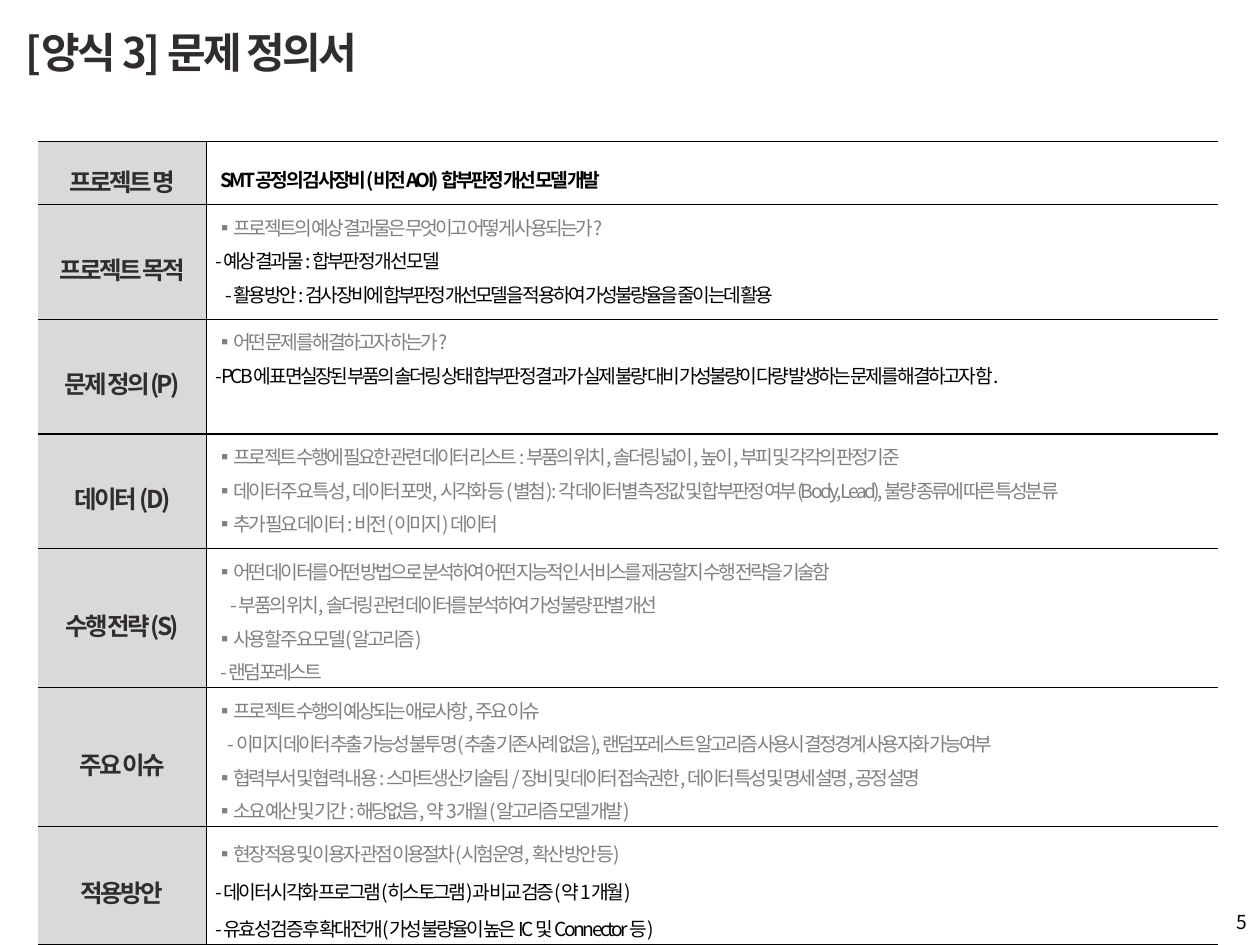
from lxml.etree import SubElement
from pptx import Presentation
from pptx.dml.color import RGBColor
from pptx.enum.text import MSO_ANCHOR as Anchor, PP_ALIGN as Align
from pptx.oxml.ns import qn
from pptx.util import Inches, Pt

FONT = "Noto Sans CJK KR"
INK, BLACK, GRAY, LABEL_FILL = "312C2E", "000000", "808080", "D9D9D9"

PROJECT = ("프로젝트 명", 1.4, [("SMT공정의 검사장비(비전AOI) 합부판정 개선 모델 개발", BLACK, 0.04)])
SECTIONS = [
    ("프로젝트 목적", 1.2, [
        ("▪ 프로젝트의 예상 결과물은 무엇이고 어떻게 사용되는가?", GRAY, 0),
        ("- 예상 결과물 : 합부판정 개선 모델", BLACK, 0),
        ("- 활용방안 : 검사장비에 합부판정 개선모델을 적용하여 가성불량율을 줄이는데 활용", BLACK, 0.08)]),
    ("문제 정의(P)", 1.2, [
        ("▪ 어떤 문제를 해결하고자 하는가?", GRAY, 0),
        ("- PCB에 표면실장된 부품의 솔더링 상태 합부판정 결과가 실제 불량 대비 "
         "가성불량이 다량 발생하는 문제를 해결하고자 함.", BLACK, 0)]),
    ("데이터 (D)", 1.2, [
        ("▪ 프로젝트 수행에 필요한 관련 데이터 리스트 : 부품의 위치, 솔더링 넓이, 높이, "
         "부피 및 각각의 판정기준", GRAY, 0),
        ("▪ 데이터 주요 특성, 데이터 포맷, 시각화 등 (별첨) : 각 데이터별 측정값 및 "
         "합부판정 여부(Body, Lead), 불량 종류에 따른 특성분류", GRAY, 0),
        ("▪ 추가 필요 데이터 : 비전(이미지) 데이터", GRAY, 0)]),
    ("수행 전략(S)", 1.2, [
        ("▪ 어떤 데이터를 어떤 방법으로 분석하여 어떤 지능적인 서비스를 제공할지 "
         "수행 전략을 기술함", GRAY, 0),
        ("- 부품의 위치, 솔더링 관련 데이터를 분석하여 가성불량 판별 개선", GRAY, 0.12),
        ("▪ 사용할 주요 모델(알고리즘)", GRAY, 0),
        ("- 랜덤포레스트", GRAY, 0.04)]),
    ("주요 이슈", 1.2, [
        ("▪ 프로젝트 수행의 예상되는 애로사항, 주요 이슈", GRAY, 0),
        ("- 이미지 데이터 추출 가능성 불투명(추출 기존사례 없음), 랜덤포레스트 알고리즘 "
         "사용시 결정경계 사용자화 가능여부", GRAY, 0.1),
        ("▪ 협력부서 및 협력 내용 : 스마트생산기술팀 / 장비 및 데이터 접속권한, "
         "데이터 특성 및 명세 설명, 공정 설명", GRAY, 0),
        ("▪ 소요 예산 및 기간 : 해당없음, 약 3개월(알고리즘 모델 개발)", GRAY, 0)]),
    ("적용방안", 1.35, [
        ("▪ 현장적용 및 이용자 관점 이용절차(시험운영, 확산 방안 등)", GRAY, 0),
        ("- 데이터 시각화 프로그램(히스토그램)과 비교 검증(약 1개월)", BLACK, 0),
        ("- 유효성 검증 후 확대전개(가성 불량율이 높은 IC 및 Connector 등)", BLACK, 0)]),
]


def color(value):
    return RGBColor.from_string(value)


class FormPage:
    def __init__(self, deck):
        self.deck = deck
        self.page = deck.slides.add_slide(deck.slide_layouts[5])

    def area(self, left, top, width, height):
        across, down = self.deck.slide_width, self.deck.slide_height
        return int(left * across), int(top * down), int(width * across), int(height * down)

    def fill_para(self, para, text, size, ink, bold=False, spacing=-1.5, align=Align.LEFT):
        para.text = text
        para.alignment = align
        font = para.font
        font.name, font.size, font.bold = FONT, Pt(size), bold
        font.color.rgb = color(ink)
        props = para._p.pPr.find(qn("a:defRPr"))
        props.set("spc", str(int(spacing * 100)))
        SubElement(props, qn("a:ea")).set("typeface", FONT)

    def title(self, text, *shares):
        box = self.page.shapes.title
        box.left, box.top, box.width, box.height = self.area(*shares)
        box.text_frame.vertical_anchor = Anchor.MIDDLE
        self.fill_para(box.text_frame.paragraphs[0], text, 24, INK, bold=True)

    def page_number(self, text, *shares):
        frame = self.page.shapes.add_textbox(*self.area(*shares)).text_frame
        frame.word_wrap = True
        frame.vertical_anchor = Anchor.MIDDLE
        self.fill_para(frame.paragraphs[0], text, 11, BLACK, spacing=0, align=Align.RIGHT)

    def rule_cell(self, cell, open_side):
        props = cell._tc.get_or_add_tcPr()
        for side in "LRTB":
            line = SubElement(props, qn(f"a:ln{side}"), w=str(Pt(0.75)))
            if side == open_side:
                SubElement(line, qn("a:noFill"))
            else:
                fill = SubElement(line, qn("a:solidFill"))
                SubElement(fill, qn("a:srgbClr"), val=BLACK)

    def prepare_cell(self, cell, open_side, anchor):
        self.rule_cell(cell, open_side)
        cell.vertical_anchor = anchor
        cell.margin_left = cell.margin_right = Inches(0.07)
        cell.margin_top = cell.margin_bottom = Inches(0.02)

    def label_cell(self, cell, text, line_spacing):
        self.prepare_cell(cell, "L", Anchor.MIDDLE)
        cell.fill.solid()
        cell.fill.fore_color.rgb = color(LABEL_FILL)
        para = cell.text_frame.paragraphs[0]
        para.line_spacing = line_spacing
        self.fill_para(para, text, 14, INK, bold=True, align=Align.CENTER)

    def content_cell(self, cell, lines, line_spacing, anchor, bold):
        self.prepare_cell(cell, "R", anchor)
        cell.fill.background()
        frame = cell.text_frame
        for index, (text, ink, indent) in enumerate(lines):
            para = frame.add_paragraph() if index else frame.paragraphs[0]
            para.line_spacing = line_spacing
            self.fill_para(para, text, 11, ink, bold=bold)
            para._p.pPr.set("marL", str(Inches(indent)))
            para._p.pPr.set("indent", "0")

    def form(self, project, sections, *shares):
        rows = [project, *sections]
        table = self.page.shapes.add_table(len(rows), 2, *self.area(*shares)).table
        table.first_row = table.horz_banding = False
        for column, width in zip(table.columns, (1.34, 8.03)):
            column.width = Inches(width)
        for index, (label, line_spacing, lines) in enumerate(rows):
            heading = index == 0
            table.rows[index].height = Inches(0.5 if heading else 0.91)
            self.label_cell(table.cell(index, 0), label, 1.4 if heading else 1.35)
            self.content_cell(table.cell(index, 1), lines, line_spacing,
                              Anchor.MIDDLE if heading else Anchor.TOP, heading)


def main():
    deck = Presentation()
    deck.slide_width, deck.slide_height = Inches(10), Inches(7.5)
    form_page = FormPage(deck)
    form_page.title("[양식 3] 문제 정의서", 0.01, 0.02, 0.76, 0.07)
    form_page.form(PROJECT, SECTIONS, 0.03, 0.15, 0.94, 0.8)
    form_page.page_number("5", 0.95, 0.95, 0.05, 0.05)
    deck.save("out.pptx")


if __name__ == "__main__":
    main()
